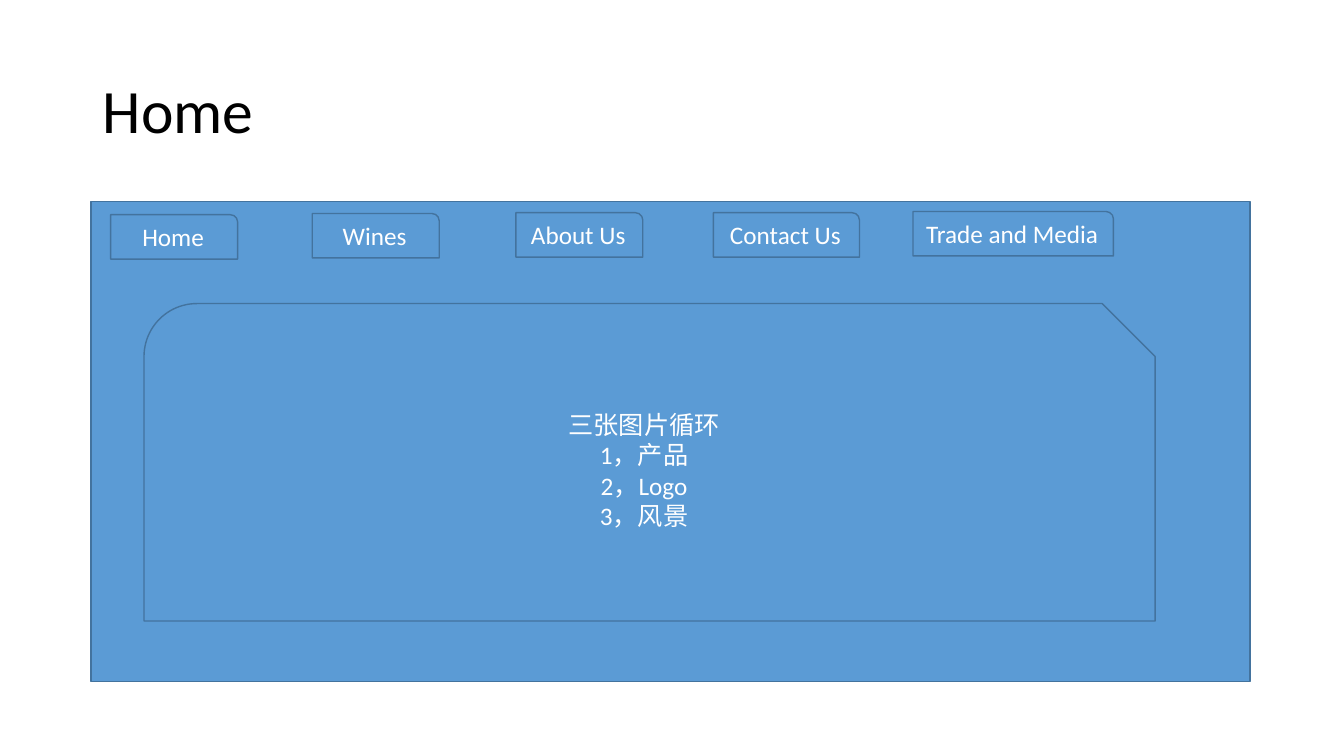
import pptx
import pptx.util
import pptx.dml.color
import pptx.enum.shapes
import pptx.enum.text

Cm = pptx.util.Cm
Pt = pptx.util.Pt
Kind = pptx.enum.shapes.MSO_SHAPE
Align = pptx.enum.text.PP_ALIGN
HUES = {"fill": "5B9BD5", "line": "43739E", "dark": "000000", "light": "FFFFFF"}


def hue(name):
    return pptx.dml.color.RGBColor.from_string(HUES[name])


def write(frame, text, size=18, color="light", align=Align.CENTER, lead=None):
    frame.word_wrap = True
    frame.vertical_anchor = pptx.enum.text.MSO_ANCHOR.MIDDLE
    frame.text = text
    for para in frame.paragraphs:
        para.alignment = align
        if lead:
            para.line_spacing = lead
        para.font.name = "Calibri"
        para.font.size = Pt(size)
        para.font.color.rgb = hue(color)


class Page:
    def __init__(self, slide):
        self.slide = slide

    def title(self, text, *area):
        box = self.slide.shapes.add_textbox(*map(Cm, area))
        write(box.text_frame, text, size=44, color="dark", align=Align.LEFT, lead=0.9)

    def block(self, kind, *area, text=""):
        shape = self.slide.shapes.add_shape(kind, *map(Cm, area))
        shape.shadow.inherit = False
        shape.fill.solid()
        shape.fill.fore_color.rgb = hue("fill")
        shape.line.color.rgb = hue("line")
        shape.line.width = Pt(1)
        if text:
            write(shape.text_frame, text)


def main():
    deck = pptx.Presentation()
    deck.slide_width, deck.slide_height = Cm(33.87), Cm(19.05)
    page = Page(deck.slides.add_slide(deck.slide_layouts[6]))
    page.title("Home", 2.34, 1.02, 29.21, 3.68)
    page.block(Kind.RECTANGLE, 2.29, 5.08, 29.21, 12.09)
    tabs = [
        ("Home", 2.79, 5.41, 3.2),
        ("Wines", 7.87, 5.38, 3.2),
        ("About Us", 13, 5.36, 3.2),
        ("Contact Us", 17.98, 5.36, 3.68),
        ("Trade and Media", 23.01, 5.33, 5.05),
    ]
    for text, left, top, width in tabs:
        page.block(Kind.ROUND_1_RECTANGLE, left, top, width, 1.12, text=text)
    page.block(Kind.SNIP_ROUND_RECTANGLE, 3.63, 7.65, 25.48, 8,
               text="三张图片循环\n1，产品\n2，Logo\n3，风景")
    deck.save("out.pptx")


if __name__ == "__main__":
    main()
